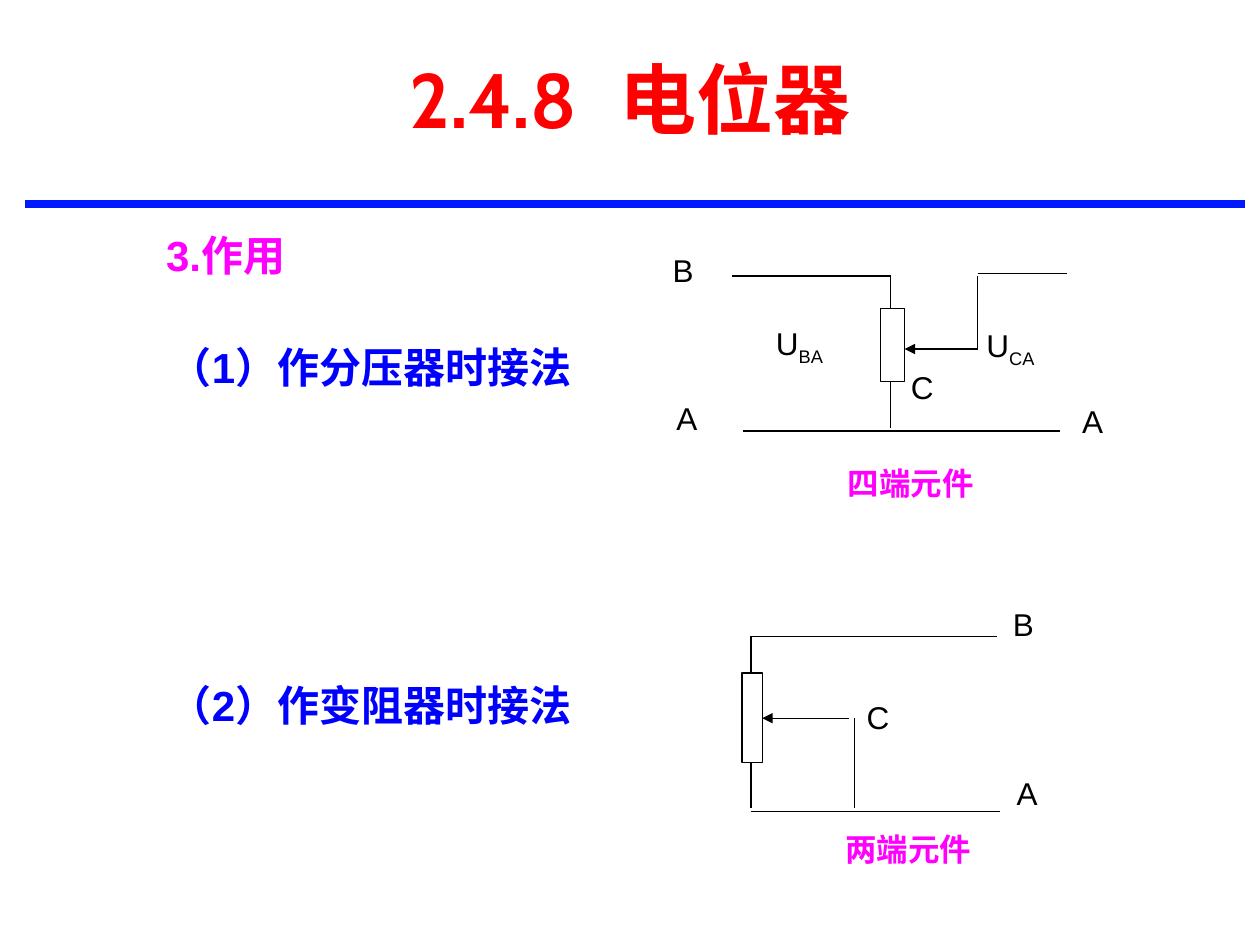
from pptx import Presentation, util as u
from pptx.dml.color import RGBColor
from pptx.enum import shapes, text
from pptx.oxml.ns import qn
from lxml import etree

Inches, Pt = u.Inches, u.Pt
BLACK, WHITE, RED, MAGENTA, BLUE = "000000", "FFFFFF", "FF0000", "FF00FF", "0000FF"
RULE_BLUE = "0019FF"

presentation = Presentation()
presentation.slide_width, presentation.slide_height = Inches(10), Inches(7.5)
slide = presentation.slides.add_slide(presentation.slide_layouts[6])


def add_line(x1, y1, x2, y2, color=BLACK, width=0.75, arrow=False):
    """Draw a straight line, with an optional arrowhead at its end."""
    connector = slide.shapes.add_connector(
        shapes.MSO_CONNECTOR.STRAIGHT, Inches(x1), Inches(y1), Inches(x2), Inches(y2))
    connector.line.color.rgb = RGBColor.from_string(color)
    connector.line.width = Pt(width)
    if arrow:
        etree.SubElement(connector.line._get_or_add_ln(), qn("a:tailEnd"), type="triangle")
    etree.SubElement(connector._element.spPr, qn("a:effectLst"))


def add_text(left, top, width, height, parts, size=18, color=BLACK, bold=False, font="Arial"):
    """Add a one-line text box with one run per part and return it."""
    box = slide.shapes.add_textbox(Inches(left), Inches(top), Inches(width), Inches(height))
    box.text_frame.word_wrap = True
    paragraph = box.text_frame.paragraphs[0]
    paragraph.alignment = text.PP_ALIGN.JUSTIFY
    for part in parts:
        run = paragraph.add_run()
        run.text = part
        run.font.size, run.font.bold, run.font.name = Pt(size), bold, font
        run.font.color.rgb = RGBColor.from_string(color)
    return box


# Title and rule
add_line(0.2, 1.62, 9.88, 1.62, RULE_BLUE, 4.5)
title = add_text(0.5, 0, 9, 1.55, ["2.4.8", " ", "电位器"], 44, RED, True, "Cabin")
title.text_frame.vertical_anchor = text.MSO_ANCHOR.MIDDLE
title_paragraph = title.text_frame.paragraphs[0]
title_paragraph.alignment = text.PP_ALIGN.CENTER
# Widen the gap between number and name by character spacing
title_paragraph.runs[1].font._element.set("spc", "1400")

# Headings and captions
for left, top, width, size, color, words in [
    (1.22, 1.77, 1.79, 24, MAGENTA, "3.作用"),
    (1.25, 2.66, 4.69, 24, BLUE, "（1）作分压器时接法"),
    (1.25, 5.34, 4.69, 24, BLUE, "（2）作变阻器时接法"),
    (6.63, 3.63, 1.67, 18, MAGENTA, "四端元件"),
    (6.61, 6.54, 1.67, 18, MAGENTA, "两端元件"),
]:
    add_text(left, top, width, 0.5, [words], size, color, True)

# Wires of the voltage divider, then of the rheostat
for wire in [
    (5.81, 2.19, 7.07, 2.19),
    (7.07, 2.19, 7.07, 3.4),
    (5.9, 3.42, 8.41, 3.42),
    (7.76, 2.77, 7.76, 2.19),
    (7.76, 2.17, 8.47, 2.17),
    (5.96, 5.05, 7.91, 5.05),
    (5.96, 5.05, 5.96, 6.41),
    (5.96, 6.44, 7.94, 6.44),
    (6.78, 5.7, 6.78, 6.41),
]:
    add_line(*wire)

# Resistor bodies, each with its wiper arrow
for left, top, width, height, wiper_y, wiper_start in [
    (6.99, 2.45, 0.19, 0.58, 2.77, 7.76),
    (5.89, 5.34, 0.16, 0.71, 5.7, 6.74),
]:
    resistor = slide.shapes.add_shape(
        shapes.MSO_SHAPE.RECTANGLE, Inches(left), Inches(top), Inches(width), Inches(height))
    resistor.shadow.inherit = False
    resistor.fill.solid()
    resistor.fill.fore_color.rgb = RGBColor.from_string(WHITE)
    resistor.line.color.rgb = RGBColor.from_string(BLACK)
    resistor.line.width = Pt(0.75)
    add_line(wiper_start, wiper_y, left + width, wiper_y, arrow=True)

# Terminal labels
for left, top, letter in [
    (5.27, 3.12, "A"), (8.49, 3.14, "A"), (5.24, 1.94, "B"), (7.13, 2.87, "C"),
    (7.94, 4.75, "B"), (7.97, 6.09, "A"), (6.78, 5.49, "C"),
]:
    add_text(left, top, 0.65, 0.53, [letter])

# Voltage labels
for left, top, subscript in [(6.06, 2.52, "BA"), (7.73, 2.54, "CA")]:
    label = add_text(left, top, 0.95, 0.57, ["U", subscript])
    label.text_frame.paragraphs[0].runs[1].font._element.set("baseline", "-25000")

presentation.save("out.pptx")
